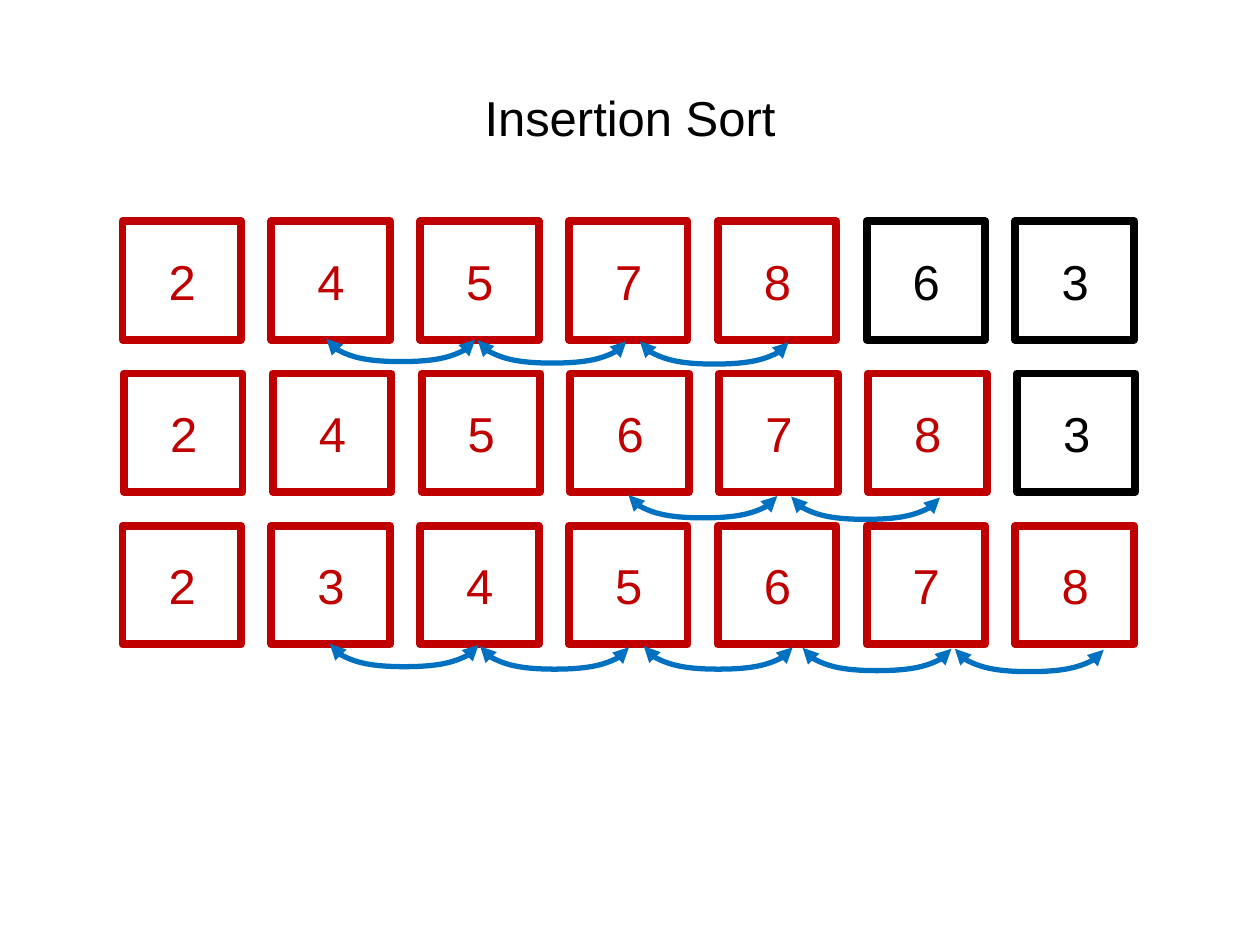
from lxml.etree import SubElement
from pptx import Presentation
from pptx.dml.color import RGBColor
from pptx.enum.shapes import MSO_CONNECTOR, MSO_SHAPE
from pptx.enum.text import MSO_ANCHOR, MSO_AUTO_SIZE, PP_ALIGN
from pptx.oxml.ns import qn
from pptx.util import Cm, Pt

RED, BLACK, BLUE = "C00000", "000000", "0070C0"
LEFT, TOP, PITCH, STEP, SIDE = 2.47, 4.46, 3.0, 3.07, 2.39
SPAN, RISE, DEPTH = 3.0, 0.02, 0.46

ROWS = [
    (0, "2457863", 5, [(6.58, 6.83), (9.63, 6.86), (12.9, 6.88)]),
    (0.03, "2456783", 6, [(12.67, 9.98), (15.95, 10.01)]),
    (0, "2345678", 7, [(6.65, 12.98), (9.68, 13.03), (12.98, 13.03),
                       (16.18, 13.06), (19.25, 13.08)]),
]


def paint(target, code):
    target.rgb = RGBColor.from_string(code)


def apply(target, values):
    for name, value in values.items():
        setattr(target, name, value)


class Board:
    font = {"name": "Arial", "size": Pt(28)}
    head = {"vertical_anchor": MSO_ANCHOR.MIDDLE, "word_wrap": True}
    label = {"word_wrap": False, "auto_size": MSO_AUTO_SIZE.SHAPE_TO_FIT_TEXT}

    def __init__(self, slide):
        self.slide = slide

    def letter(self, frame, text, code, form):
        apply(frame, form)
        line = frame.paragraphs[0]
        run = line.add_run()
        run.text = text
        apply(run.font, self.font)
        paint(run.font.color, code)
        return line

    def title(self, text):
        shape = self.slide.shapes.title
        apply(shape, {"left": Cm(1.27), "top": Cm(0.76),
                      "width": Cm(22.86), "height": Cm(3.18)})
        line = self.letter(shape.text_frame, text, BLACK, self.head)
        line.alignment = PP_ALIGN.CENTER

    def box(self, group, x, y, code):
        shape = group.shapes.add_shape(
            MSO_SHAPE.RECTANGLE, Cm(x), Cm(y), Cm(SIDE), Cm(SIDE))
        shape.shadow.inherit = False
        shape.fill.background()
        shape.line.width = Pt(4.5)
        paint(shape.line.color, code)

    def digit(self, group, x, y, text, code):
        shape = group.shapes.add_textbox(
            Cm(x + 0.68), Cm(y + 0.48), Cm(1.07), Cm(1.45))
        self.letter(shape.text_frame, text, code, self.label)

    def row(self, x, y, digits, done):
        group = self.slide.shapes.add_group_shape()
        cells = [(x + i * PITCH, y, text, RED if i < done else BLACK)
                 for i, text in enumerate(digits)]
        for left, top, text, code in cells:
            self.box(group, left, top, code)
        for cell in cells:
            self.digit(group, *cell)

    def swap(self, x, y):
        mid = x + SPAN / 2
        top = y + RISE / 2 - SPAN / 2
        curve = self.slide.shapes.add_connector(
            MSO_CONNECTOR.CURVE, Cm(mid + RISE / 2), Cm(top),
            Cm(mid - RISE / 2), Cm(top + SPAN))
        curve.line.width = Pt(3)
        paint(curve.line.color, BLUE)
        props = curve._element.spPr
        props.find(qn("a:xfrm")).set("rot", "16200000")
        guides = props.find(qn("a:prstGeom")).find(qn("a:avLst"))
        bend = round(DEPTH / RISE * 100000)
        SubElement(guides, qn("a:gd"), name="adj1", fmla=f"val {bend}")
        for end in ("a:headEnd", "a:tailEnd"):
            SubElement(props.find(qn("a:ln")), qn(end), type="triangle")
        SubElement(props, qn("a:effectLst"))


def main():
    deck = Presentation()
    apply(deck, {"slide_width": Cm(25.4), "slide_height": Cm(19.05)})
    board = Board(deck.slides.add_slide(deck.slide_layouts[5]))
    board.title("Insertion Sort")
    for i, (shift, digits, done, swaps) in enumerate(ROWS):
        board.row(LEFT + shift, TOP + i * STEP, digits, done)
        for start in swaps:
            board.swap(*start)
    deck.save("out.pptx")


if __name__ == "__main__":
    main()
